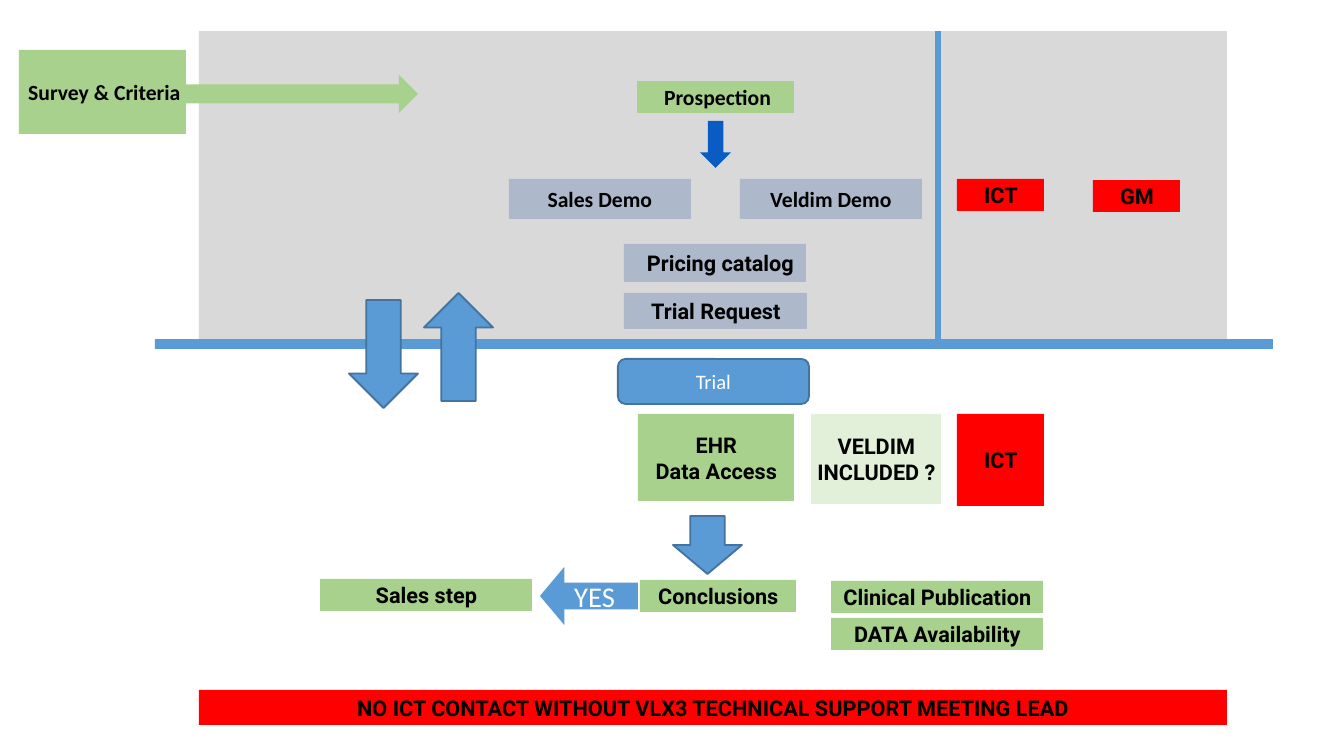
from dataclasses import dataclass
from pptx import Presentation
from pptx.dml.color import RGBColor
from pptx.enum.shapes import MSO_CONNECTOR, MSO_SHAPE as S
from pptx.enum.text import MSO_ANCHOR, PP_ALIGN
from pptx.oxml.ns import qn
from pptx.util import Emu, Pt
from lxml.etree import SubElement


@dataclass(frozen=True)
class Theme:
    panel: str = "D9D9D9"
    green: str = "A9D18E"
    pale: str = "E2F0D9"
    slate: str = "ADB9CA"
    red: str = "FF0000"
    blue: str = "5B9BD5"
    edge: str = "43739E"
    deep: str = "095CC4"
    dark: str = "000000"
    light: str = "FFFFFF"
    label: float = 11.6
    trial: float = 11
    answer: float = 15.3
    heading_font: str = "Calibri"
    body_font: str = "Roboto"


T = Theme()
SLIDE = (1344, 756)
INSET = 3
PANEL = (199, 31, 1028, 313)
BASELINE = (155, 339, 1118, 10)
DIVIDER = (938, 31, 344)
SURVEY_ARROW = (171, 75, 247, 38)
PROSPECT_ARROW = (692, 129, 47, 31)
TRIAL = (618, 359, 191, 45)
YES = (540, 567, 98, 58)

FLOW_ARROWS = [
    ((349, 300, 69, 108), 0),
    ((424, 293, 69, 108), 180),
    ((673, 516, 69, 58), 0),
]
HEADING_LABELS = [
    ("Survey & Criteria", (19, 50, 167, 84), T.green, 4),
    ("Prospection", (637, 81, 157, 32), T.green, 4),
    ("Sales Demo", (509, 179, 182, 40), T.slate, 0),
    ("Veldim Demo", (740, 179, 182, 40), T.slate, 0),
]
BODY_LABELS = [
    ("Trial Request", (624, 293, 183, 36), T.slate),
    ("EHR\nData Access", (638, 414, 156, 87), T.green),
    ("VELDIM INCLUDED ?", (811, 414, 130, 90), T.pale),
    ("ICT", (957, 414, 87, 92), T.red),
    ("ICT", (957, 179, 87, 32), T.red),
    ("GM", (1093, 180, 87, 32), T.red),
    ("Sales step", (320, 579, 212, 32), T.green),
    ("Conclusions", (640, 580, 156, 32), T.green),
    ("Clinical Publication", (831, 581, 212, 32), T.green),
    ("DATA Availability", (831, 618, 212, 32), T.green),
    ("NO ICT CONTACT WITHOUT VLX3 TECHNICAL SUPPORT MEETING LEAD",
     (199, 690, 1028, 35), T.red),
]


def px(n):
    return Emu(round(n * 914400 / 134.4))


def rgb(color):
    return RGBColor.from_string(color)


def block(kind, box, fill, edge=None, turn=0):
    shape = slide.shapes.add_shape(kind, *map(px, box))
    shape.shadow.inherit = False
    shape.fill.solid()
    shape.fill.fore_color.rgb = rgb(fill)
    if edge:
        shape.line.color.rgb = rgb(edge)
        shape.line.width = Pt(1)
    else:
        shape.line.fill.background()
    shape.rotation = turn
    return shape


def write(shape, text, font, size=T.label, color=T.dark, bold=True,
          align=PP_ALIGN.CENTER, indent=0):
    frame = shape.text_frame
    frame.word_wrap = True
    frame.vertical_anchor = MSO_ANCHOR.MIDDLE
    frame.margin_left = frame.margin_right = px(INSET)
    frame.margin_top = frame.margin_bottom = px(INSET)
    frame.text = text
    for paragraph in frame.paragraphs:
        paragraph.alignment = align
        paragraph._p.get_or_add_pPr().set("marL", str(px(indent)))
        paragraph.font.name = font
        paragraph.font.size = Pt(size)
        paragraph.font.bold = bold
        paragraph.font.color.rgb = rgb(color)


deck = Presentation()
deck.slide_width, deck.slide_height = map(px, SLIDE)
slide = deck.slides.add_slide(deck.slide_layouts[6])

block(S.RECTANGLE, PANEL, T.panel)
block(S.RIGHT_ARROW, PROSPECT_ARROW, T.deep, turn=90)
block(S.RIGHT_ARROW, SURVEY_ARROW, T.green)
block(S.RECTANGLE, BASELINE, T.blue)

for text, box, fill, indent in HEADING_LABELS:
    write(block(S.RECTANGLE, box, fill), text, T.heading_font, indent=indent)
for text, box, fill in BODY_LABELS:
    write(block(S.RECTANGLE, box, fill), text, T.body_font, indent=1)

pricing = block(S.RECTANGLE, (624, 244, 182, 38), T.slate)
write(pricing, "Pricing catalog", T.body_font, align=PP_ALIGN.LEFT, indent=20)

trial = block(S.ROUNDED_RECTANGLE, TRIAL, T.blue, T.edge)
write(trial, "Trial", T.heading_font, T.trial, T.light, False)

yes = block(S.LEFT_ARROW, YES, T.blue)
yes.adjustments[0], yes.adjustments[1] = 0.46, 0.42
write(yes, "YES", T.heading_font, T.answer, T.light, False)

for box, turn in FLOW_ARROWS:
    block(S.DOWN_ARROW, box, T.blue, T.edge, turn)

x, top, bottom = map(px, DIVIDER)
divider = slide.shapes.add_connector(MSO_CONNECTOR.STRAIGHT, x, top, x, bottom)
divider.line.color.rgb = rgb(T.blue)
divider.line.width = Pt(3)
SubElement(divider._element.spPr, qn("a:effectLst"))

deck.save("out.pptx")
